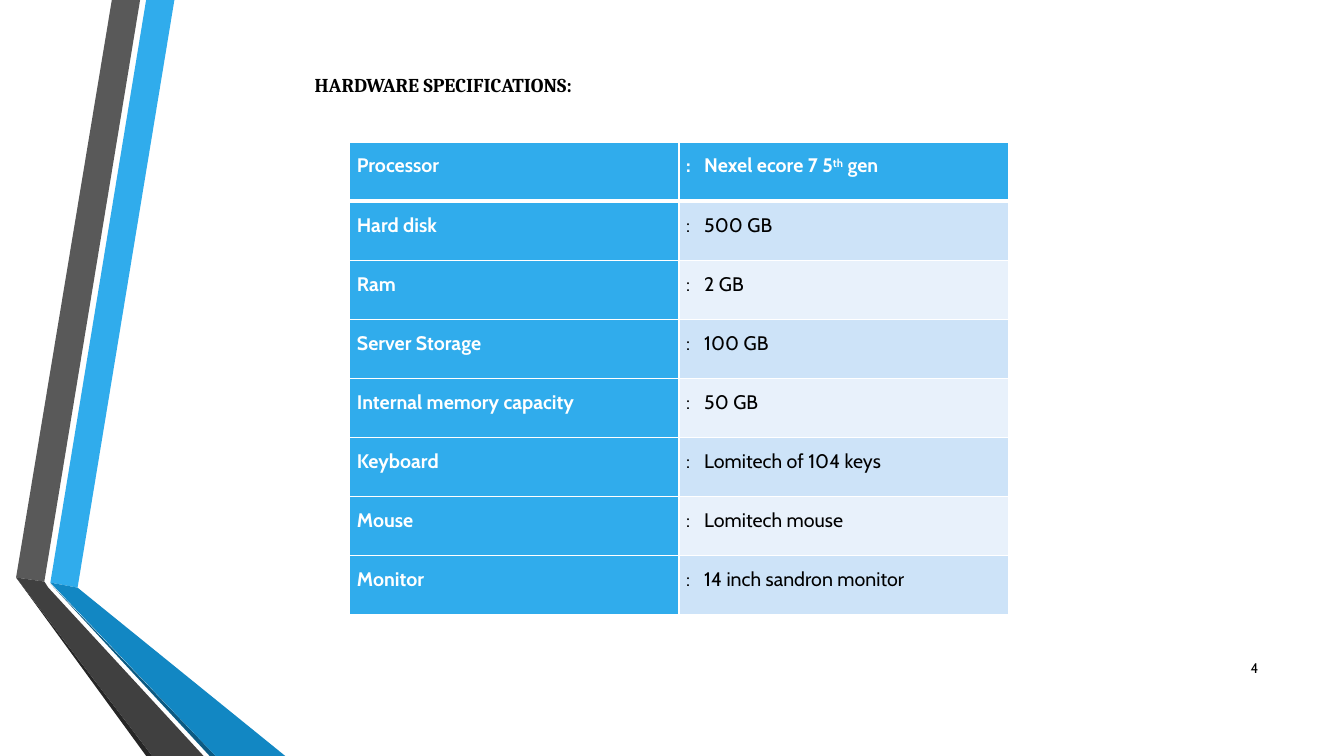
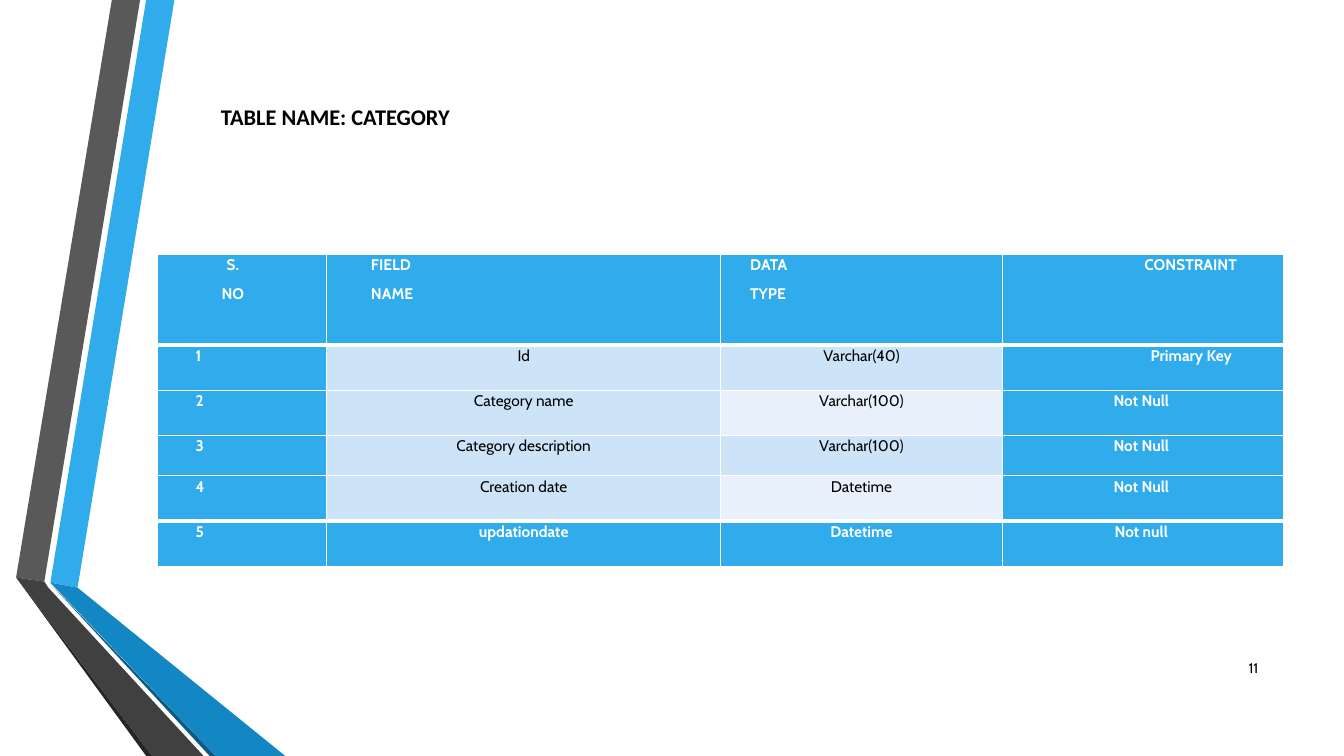
"""Build two table slides that share a ribbon, a title style and a page number."""
from dataclasses import dataclass
from typing import Optional

from lxml import etree
from pptx import Presentation
from pptx.dml.color import RGBColor
from pptx.enum.text import MSO_ANCHOR, MSO_AUTO_SIZE, PP_ALIGN
from pptx.oxml.ns import qn
from pptx.presentation import Presentation as Deck
from pptx.slide import Slide
from pptx.table import _Cell as TableCell
from pptx.text.text import TextFrame
from pptx.util import Inches, Pt

LEFT, CENTER, RIGHT = PP_ALIGN.LEFT, PP_ALIGN.CENTER, PP_ALIGN.RIGHT
MIDDLE = MSO_ANCHOR.MIDDLE
NO_AUTOFIT = MSO_AUTO_SIZE.NONE
TITLE_ONLY = 5


@dataclass(frozen=True)
class Theme:
    """Colours, fonts, type sizes and line widths of the deck."""
    accent: str = "30ACEC"
    accent_dark: str = "1287C3"
    accent_shadow: str = "0C5A82"
    gray: str = "595959"
    gray_dark: str = "404040"
    gray_shadow: str = "262626"
    band: str = "CDE3F8"
    band_light: str = "E8F1FB"
    white: str = "FFFFFF"
    black: str = "000000"
    body_font: str = "Cabin"
    number_size: float = 10
    field_size: float = 11
    hardware_size: float = 14
    thin: float = 1
    thick: float = 3


THEME = Theme()


@dataclass(frozen=True)
class Ribbon:
    """One filled outline of the ribbon, with points in inches."""
    color: str
    points: tuple[tuple[float, float], ...]


@dataclass(frozen=True)
class Title:
    """Wording, place and type of a slide title."""
    text: str
    left: float
    top: float
    height: float
    font: str
    size: float


@dataclass(frozen=True)
class Placement:
    """Alignment and side margins of the text in a cell."""
    align: PP_ALIGN
    left: float = 0
    right: float = 0


@dataclass(frozen=True)
class CellStyle:
    """Text format and fill of a cell."""
    placement: Placement
    size: float
    line_spacing: float
    fill: str = THEME.accent
    space_before: float = 0
    hanging: float = 0


@dataclass(frozen=True)
class Entry:
    """Text of a cell and its style."""
    text: str
    style: CellStyle


@dataclass(frozen=True)
class Grid:
    """Place, sizes and entries of a table; thick rules lie above the given rows."""
    left: float
    top: float
    widths: list[float]
    heights: list[float]
    rows: list[list[Entry]]
    thick_above: set[int]


RIBBONS = (
    Ribbon(THEME.accent, ((0.5, 5.78), (0.77, 5.83), (1.73, 0), (1.45, 0))),
    Ribbon(THEME.gray, ((1.39, 0), (1.11, 0), (0.16, 5.73), (0.44, 5.77))),
    Ribbon(THEME.gray_shadow, ((0.16, 5.73), (1.45, 7.5), (1.51, 7.5))),
    Ribbon(THEME.accent_shadow, ((0.5, 5.79), (2.08, 7.5), (2.14, 7.5))),
    Ribbon(THEME.accent_dark, ((0.5, 5.78), (2.14, 7.5), (2.83, 7.5), (0.77, 5.83))),
    Ribbon(THEME.gray_dark, ((2.02, 7.5), (0.48, 5.83), (0.44, 5.77), (0.16, 5.73), (1.51, 7.5))),
)

HARDWARE = (
    ("Processor", "Nexel ecore 7 5^th^ gen"),
    ("Hard disk", "500 GB"),
    ("Ram", "2 GB"),
    ("Server Storage", "100 GB"),
    ("Internal memory capacity", "50 GB"),
    ("Keyboard", "Lomitech of 104 keys"),
    ("Mouse", "Lomitech mouse"),
    ("Monitor", "14 inch sandron monitor"),
)

FIELD_HEADERS = ("S.\nNO", "FIELD\nNAME", "DATA\nTYPE", "CONSTRAINT")
FIELD_ROWS = (
    ("1", "Id", "Varchar(40)", "Primary Key"),
    ("2", "Category name", "Varchar(100)", "Not Null"),
    ("3", "Category description", "Varchar(100)", "Not Null"),
    ("4", "Creation date", "Datetime", "Not Null"),
    ("5", "updationdate", "Datetime", "Not null"),
)
HEADER_PLACEMENTS = (
    Placement(CENTER, 0.29, 0.47),
    Placement(LEFT, 0.44),
    Placement(LEFT, 0.29),
    Placement(RIGHT, right=0.46),
)
BODY_PLACEMENTS = (
    Placement(LEFT, 0.38),
    Placement(CENTER),
    Placement(CENTER),
    Placement(CENTER, 0.59, 0.62),
)
PRIMARY_KEY_PLACEMENT = Placement(RIGHT, right=0.51)


def write_text(frame: TextFrame, text: str, *, size: float, font: str = THEME.body_font,
               color: str = THEME.black, bold: bool = False, align: PP_ALIGN = LEFT,
               line_spacing: Optional[float] = None, space_before: float = 0,
               hanging: float = 0) -> None:
    """Write one paragraph a line, raising the parts between carets."""
    for index, line in enumerate(text.split("\n")):
        paragraph = frame.add_paragraph() if index else frame.paragraphs[0]
        paragraph.alignment = align
        paragraph.space_before = Pt(space_before)
        if line_spacing:
            paragraph.line_spacing = line_spacing
        if hanging:
            properties = paragraph._p.get_or_add_pPr()
            properties.set("marL", str(Inches(hanging)))
            properties.set("indent", str(-Inches(hanging)))
        for part_index, part in enumerate(line.split("^")):
            run = paragraph.add_run()
            run.text = part
            run.font.name = font
            run.font.size = Pt(size)
            run.font.bold = bold
            run.font.color.rgb = RGBColor.from_string(color)
            if part_index % 2:
                run._r.get_or_add_rPr().set("baseline", "30000")


def add_ribbon(presentation: Deck, slide: Slide) -> None:
    """Draw the ribbon as a group and hand it to the slide master."""
    group = slide.shapes.add_group_shape()
    for ribbon in RIBBONS:
        start, *others = [(Inches(x), Inches(y)) for x, y in ribbon.points]
        builder = group.shapes.build_freeform(*start)
        builder.add_line_segments(others, close=True)
        shape = builder.convert_to_shape()
        shape.shadow.inherit = False
        shape.fill.solid()
        shape.fill.fore_color.rgb = RGBColor.from_string(ribbon.color)
        shape.line.fill.background()
    presentation.slide_master.shapes.element.append(group.element)


def add_title(slide: Slide, title: Title) -> None:
    """Place and format the title placeholder."""
    shape = slide.shapes.title
    shape.left, shape.top = Inches(title.left), Inches(title.top)
    shape.width, shape.height = Inches(9.5), Inches(title.height)
    shape.text_frame.auto_size = NO_AUTOFIT
    shape.text_frame.vertical_anchor = MIDDLE
    write_text(shape.text_frame, title.text, font=title.font, size=title.size, bold=True)


def add_page_number(slide: Slide, number: int) -> None:
    """Write the page number at the lower right."""
    box = slide.shapes.add_textbox(Inches(11.98), Inches(6.43), Inches(0.6), Inches(0.4))
    box.text_frame.word_wrap = True
    box.text_frame.vertical_anchor = MIDDLE
    write_text(box.text_frame, str(number), size=THEME.number_size, align=RIGHT)


def set_borders(cell: TableCell, top: float, bottom: float) -> None:
    """Give a cell white borders of the given widths in points."""
    properties = cell._tc.get_or_add_tcPr()
    widths = {"a:lnL": THEME.thin, "a:lnR": THEME.thin, "a:lnT": top, "a:lnB": bottom}
    for position, (tag, width) in enumerate(widths.items()):
        line = etree.Element(qn(tag), w=str(Pt(width)))
        fill = etree.SubElement(line, qn("a:solidFill"))
        etree.SubElement(fill, qn("a:srgbClr"), val=THEME.white)
        properties.insert(position, line)


def fill_cell(cell: TableCell, entry: Entry) -> None:
    """Write and colour one cell; accent cells carry bold white text."""
    style = entry.style
    cell.margin_left, cell.margin_right = Inches(style.placement.left), Inches(style.placement.right)
    cell.margin_top = cell.margin_bottom = 0
    cell.fill.solid()
    cell.fill.fore_color.rgb = RGBColor.from_string(style.fill)
    strong = style.fill == THEME.accent
    write_text(cell.text_frame, entry.text, size=style.size, bold=strong,
               color=THEME.white if strong else THEME.black, align=style.placement.align,
               line_spacing=style.line_spacing, space_before=style.space_before,
               hanging=style.hanging)


def add_grid(slide: Slide, grid: Grid) -> None:
    """Add a table with its cells and borders."""
    table = slide.shapes.add_table(
        len(grid.heights), len(grid.widths), Inches(grid.left), Inches(grid.top),
        Inches(sum(grid.widths)), Inches(sum(grid.heights))).table
    table.first_row = table.horz_banding = False
    for column, width in zip(table.columns, grid.widths):
        column.width = Inches(width)
    for index, (row, height, entries) in enumerate(zip(table.rows, grid.heights, grid.rows)):
        row.height = Inches(height)
        top, bottom = (THEME.thick if edge in grid.thick_above else THEME.thin
                       for edge in (index, index + 1))
        for cell, entry in zip(row.cells, entries):
            fill_cell(cell, entry)
            set_borders(cell, top, bottom)


def band_color(row: int) -> str:
    """Return the alternating band colour of a body row."""
    return THEME.band if row % 2 else THEME.band_light


def hardware_grid() -> Grid:
    """Lay out the hardware table."""
    placement = Placement(LEFT, 0.07, 0.07)
    rows = []
    for index, (label, value) in enumerate(HARDWARE):
        fill = band_color(index) if index else THEME.accent
        label_style = CellStyle(placement, THEME.hardware_size, 1.5)
        value_style = CellStyle(placement, THEME.hardware_size, 1.5, fill, hanging=0.18)
        rows.append([Entry(label, label_style), Entry(f":\t{value}", value_style)])
    return Grid(3.47, 1.41, [3.265] * 2, [4.69 / len(rows)] * len(rows), rows, {1})


def field_grid() -> Grid:
    """Lay out the table of database fields."""
    rows = [[Entry(text, CellStyle(placement, THEME.field_size, 1.07, space_before=6.3))
             for text, placement in zip(FIELD_HEADERS, HEADER_PLACEMENTS)]]
    last = len(FIELD_ROWS)
    for index, texts in enumerate(FIELD_ROWS, start=1):
        fills = [THEME.accent, THEME.band, band_color(index), THEME.accent]
        if index == last:
            fills = [THEME.accent] * len(texts)
        entries = []
        for text, placement, fill in zip(texts, BODY_PLACEMENTS, fills):
            if text == "Primary Key":
                placement = PRIMARY_KEY_PLACEMENT
            entries.append(Entry(text, CellStyle(placement, THEME.field_size, 1.07, fill, 8)))
        rows.append(entries)
    return Grid(1.56, 2.52, [1.68, 3.91, 2.79, 2.79], [0.9, 0.45, 0.45, 0.4, 0.45, 0.45],
                rows, {1, last})


def main() -> None:
    """Build and save the presentation."""
    presentation = Presentation()
    presentation.slide_width, presentation.slide_height = Inches(13.33), Inches(7.5)
    pages = (
        (4, Title("HARDWARE SPECIFICATIONS:", 3.02, 0.67, 0.34, "Cambria", 14), hardware_grid()),
        (11, Title("TABLE NAME: CATEGORY", 2.09, 0.97, 0.37, "Calibri", 16), field_grid()),
    )
    for number, title, grid in pages:
        slide = presentation.slides.add_slide(presentation.slide_layouts[TITLE_ONLY])
        add_title(slide, title)
        add_page_number(slide, number)
        add_grid(slide, grid)
    add_ribbon(presentation, presentation.slides[0])
    presentation.save("out.pptx")


if __name__ == "__main__":
    main()
